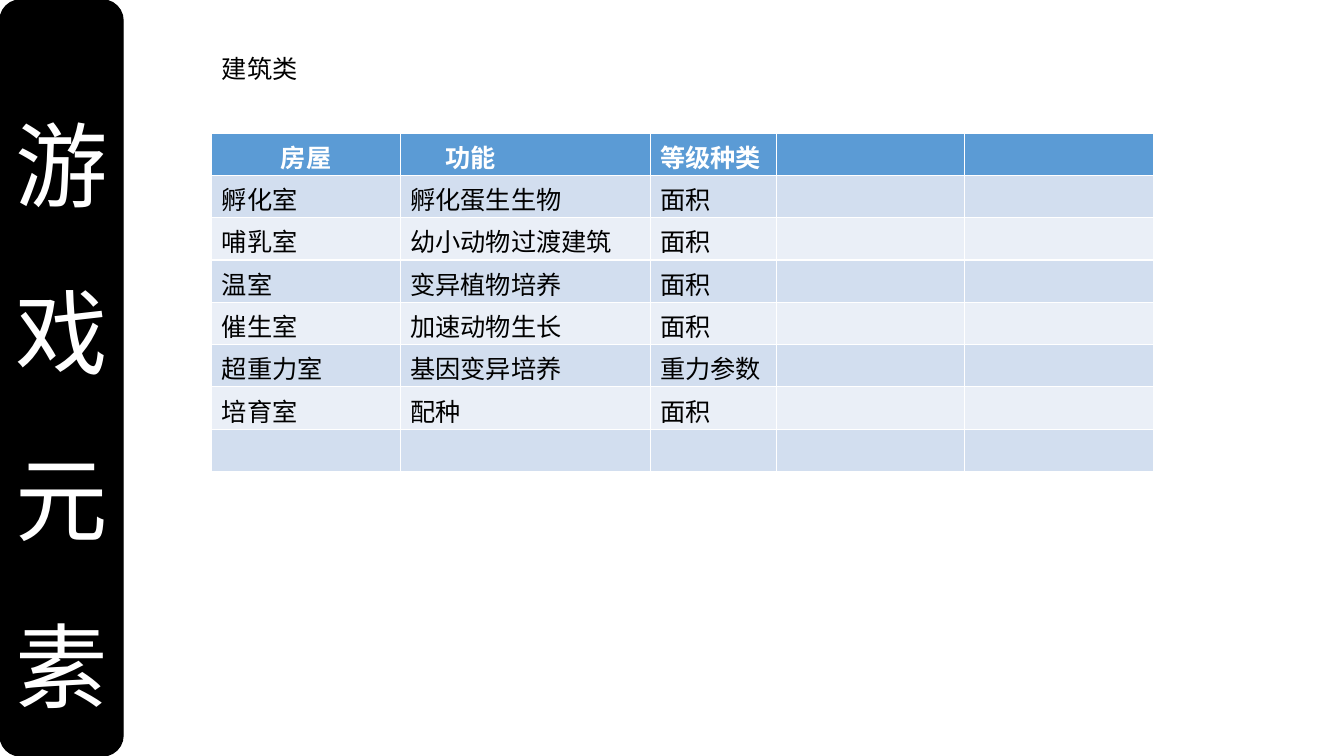
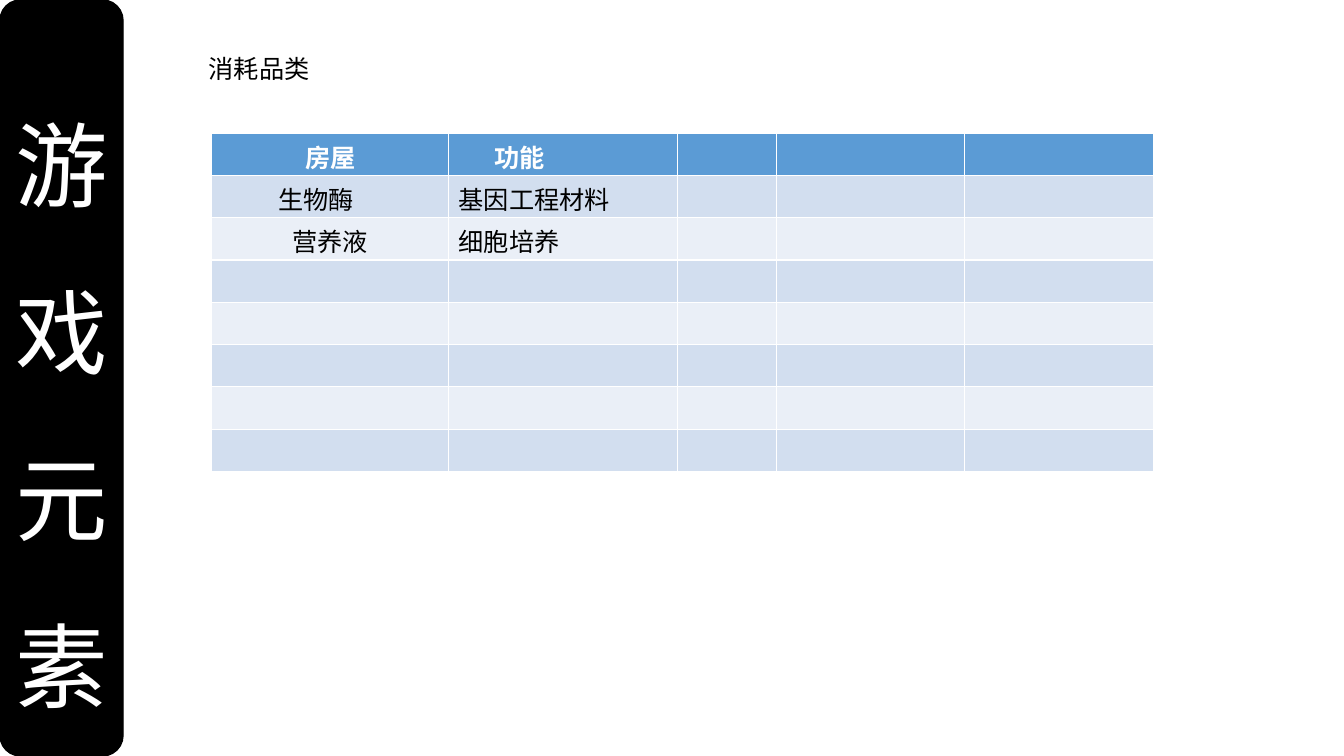
from pptx import Presentation
from pptx.dml.color import RGBColor
from pptx.enum.shapes import MSO_SHAPE
from pptx.enum.text import MSO_ANCHOR, PP_ALIGN
from pptx.oxml.ns import qn
from pptx.util import Inches, Pt

ROUND = MSO_SHAPE.ROUNDED_RECTANGLE
MIDDLE = MSO_ANCHOR.MIDDLE
LEFT, CENTER = PP_ALIGN.LEFT, PP_ALIGN.CENTER
BLACK = RGBColor(0x00, 0x00, 0x00)
WHITE = RGBColor(0xFF, 0xFF, 0xFF)
BLUE = RGBColor(0x5B, 0x9B, 0xD5)
BANDS = (RGBColor(0xEA, 0xEF, 0xF7), RGBColor(0xD2, 0xDE, 0xEF))
LATIN, HAN = "DejaVu Sans", "Noto Sans CJK SC"
SIDE = {"name": HAN, "size": Pt(66)}
BODY = {"name": LATIN, "size": Pt(18), "bold": False}
HEAD = {**BODY, "bold": True}
ROWS, ROW = 8, 0.42

HOUSES = [
    ("房屋", "功能", "等级种类"),
    ("孵化室", "孵化蛋生生物", "面积"),
    ("哺乳室", "幼小动物过渡建筑", "面积"),
    ("温室", "变异植物培养", "面积"),
    ("催生室", "加速动物生长", "面积"),
    ("超重力室", "基因变异培养", "重力参数"),
    ("培育室", "配种", "面积"),
]
GOODS = [
    ("房屋", "功能"),
    ("生物酶", "基因工程材料"),
    ("营养液", "细胞培养"),
]


class Deck:
    """Holds the shared style and the current slide."""

    def __init__(self):
        self.prs = Presentation()
        self.prs.slide_width = Inches(13.33)
        self.prs.slide_height = Inches(7.5)
        self.slide = None

    def text(self, para, words, style, color, align=LEFT):
        para.alignment = align
        run = para.add_run()
        run.text = words
        for key, value in style.items():
            setattr(run.font, key, value)
        run.font.color.rgb = color
        props = run._r.get_or_add_rPr()
        east = props.makeelement(qn("a:ea"), {"typeface": HAN})
        props.find(qn("a:latin")).addnext(east)

    def page(self, title, left, width):
        self.slide = self.prs.slides.add_slide(self.prs.slide_layouts[6])
        self.side()
        box = self.slide.shapes.add_textbox(
            Inches(left), Inches(0.48), Inches(width), Inches(0.4))
        box.text_frame.word_wrap = False
        self.text(box.text_frame.paragraphs[0], title, BODY, BLACK, CENTER)

    def side(self):
        bar = self.slide.shapes.add_shape(
            ROUND, 0, 0, Inches(1.22), self.prs.slide_height)
        bar.shadow.inherit = False
        bar.fill.solid()
        bar.fill.fore_color.rgb = BLACK
        bar.line.color.rgb = BLACK
        bar.line.width = Pt(1)
        frame = bar.text_frame
        frame.word_wrap = True
        frame.vertical_anchor = MIDDLE
        frame.margin_top = Inches(0.21)
        for i, words in enumerate(("游", "戏", "元素")):
            para = frame.add_paragraph() if i else frame.paragraphs[0]
            para.line_spacing = Pt(119.3)
            self.text(para, words, SIDE, WHITE)

    def table(self, widths, rows, center=()):
        grid = self.slide.shapes.add_table(
            ROWS, len(widths), Inches(2.1), Inches(1.32),
            Inches(sum(widths)), Inches(ROWS * ROW)).table
        for col, width in zip(grid.columns, widths):
            col.width = Inches(width)
        for r in range(ROWS):
            texts = rows[r] if r < len(rows) else ()
            for c in range(len(widths)):
                cell = grid.cell(r, c)
                cell.fill.solid()
                cell.fill.fore_color.rgb = BANDS[r % 2] if r else BLUE
                if c < len(texts):
                    self.text(cell.text_frame.paragraphs[0], texts[c],
                              BODY if r else HEAD, BLACK if r else WHITE,
                              CENTER if (r, c) in center else LEFT)
        grid.cell(0, 1).margin_left = Inches(0.45)
        return grid


def main():
    deck = Deck()
    deck.page("建筑类", 2.1, 0.95)
    deck.table((1.87, 2.48, 1.25, 1.87, 1.87), HOUSES, {(0, 0)})
    deck.page("消耗品类", 1.97, 1.2)
    goods = deck.table((2.35, 2.27, 0.98, 1.87, 1.87), GOODS,
                       {(0, 0), (1, 0), (2, 0)})
    goods.cell(1, 0).margin_right = Inches(0.38)
    deck.prs.save("out.pptx")


if __name__ == "__main__":
    main()
